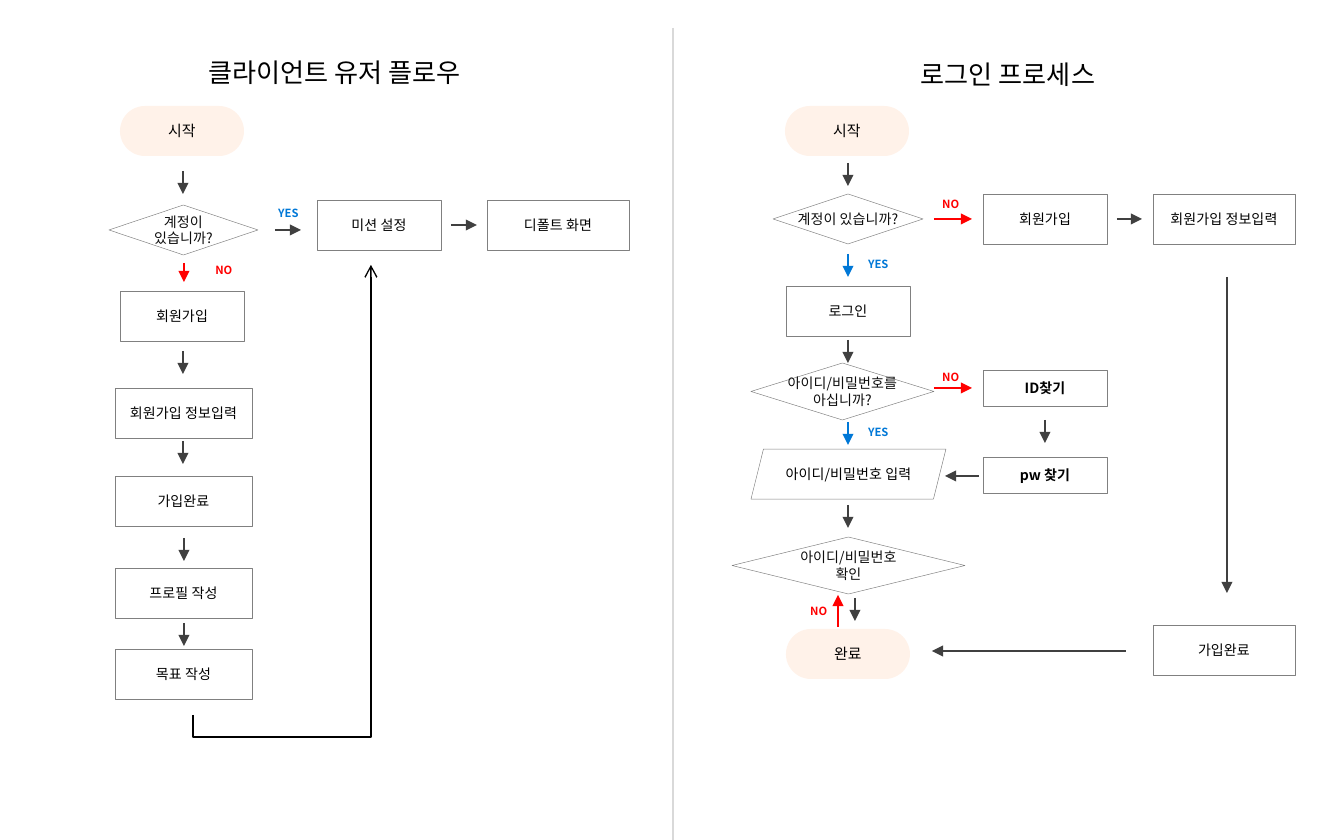
from dataclasses import dataclass
from pptx import Presentation
from pptx.dml.color import RGBColor as Rgb
from pptx.enum.shapes import MSO_CONNECTOR as Con, MSO_SHAPE as Geo
from pptx.enum.text import MSO_ANCHOR as Anchor, PP_ALIGN as Align
from pptx.oxml.ns import qn
from pptx.util import Emu, Pt
from lxml.etree import SubElement as Sub


@dataclass(frozen=True)
class Theme:
    font: str = "Noto Sans CJK KR"
    ink: str = "000000"
    soft: str = "0D0D0D"
    dark: str = "404040"
    edge: str = "808080"
    rule: str = "D9D9D9"
    peach: str = "FFF2E9"
    white: str = "FFFFFF"
    red: str = "FF0000"
    blue: str = "0078D7"
    title: float = 14
    cap: float = 8
    body: float = 7.5
    tag: float = 6
    thin: float = 0.26
    line: float = 0.75


T = Theme()


def px(n):
    return Emu(round(n * 914400 / 134.4))


def hue(code):
    return Rgb.from_string(code)


def write(frame, text, size, color, bold=False, align=Align.CENTER, wrap=False):
    frame.text = text
    frame.word_wrap = wrap
    for para in frame.paragraphs:
        para.alignment = align
        for run in para.runs:
            font = run.font
            font.name, font.size, font.bold = T.font, Pt(size), bold
            font.color.rgb = hue(color)
            Sub(font._element, qn("a:ea")).set("typeface", T.font)


def node(slide, geo, box, text, size=T.body, color=T.ink, fill=T.white,
         edge=True, pad=True, bold=False):
    shape = slide.shapes.add_shape(geo, *map(px, box))
    shape.shadow.inherit = False
    shape.fill.solid()
    shape.fill.fore_color.rgb = hue(fill)
    if edge:
        shape.line.color.rgb = hue(T.edge)
        shape.line.width = Pt(T.thin)
    else:
        shape.line.fill.background()
    frame = shape.text_frame
    frame.vertical_anchor = Anchor.MIDDLE
    if not pad:
        frame.margin_left = frame.margin_right = 0
        frame.margin_top = frame.margin_bottom = 0
    write(frame, text, size, color, bold)
    return shape


def step(slide, box, text, bold=False):
    node(slide, Geo.RECTANGLE, box, text, pad=False, bold=bold)


def ask(slide, box, text):
    node(slide, Geo.FLOWCHART_DECISION, box, text, color=T.soft)


def pill(slide, x, y, text):
    shape = node(slide, Geo.ROUNDED_RECTANGLE, (x, y, 124, 50), text,
                 size=T.cap, fill=T.peach, edge=False)
    shape.adjustments[0] = 0.5


def label(slide, box, text, size, color, **opts):
    shape = slide.shapes.add_textbox(*map(px, box))
    write(shape.text_frame, text, size, color, wrap=True, **opts)
    return shape


def title(slide, x, y, text):
    label(slide, (x, y, 672, 44), text, T.title, T.ink)


def tag(slide, x, y, yes):
    text, color, wide = ("YES", T.blue, 47) if yes else ("NO", T.red, 43)
    shape = label(slide, (x, y, wide, 27), text, T.tag, color,
                  bold=True, align=Align.LEFT)
    shape.text_frame.margin_right = 0


def link(slide, ends, color=T.dark, head="triangle", kind=Con.STRAIGHT):
    line = slide.shapes.add_connector(kind, *map(px, ends))
    line.line.color.rgb = hue(color)
    line.line.width = Pt(T.line)
    if head:
        Sub(line.line._get_or_add_ln(), qn("a:tailEnd")).set("type", head)
    Sub(line._element.spPr, qn("a:effectLst"))
    return line


def down(slide, x, y, color=T.dark):
    link(slide, (x, y, x, y + 23), color)


def bend(slide, x1, y1, x2, y2, drop):
    wide, high = y1 - y2, x2 - x1
    x, y = (x1 + x2) / 2, (y1 + y2) / 2
    ends = (x + wide / 2, y + high / 2, x - wide / 2, y - high / 2)
    line = link(slide, ends, T.ink, "arrow", Con.ELBOW)
    prop = line._element.spPr
    prop.find(qn("a:xfrm")).set("rot", str(90 * 60000))
    geom = prop.find(qn("a:prstGeom"))
    vals = geom.find(qn("a:avLst"))
    if vals is None:
        vals = Sub(geom, qn("a:avLst"))
    item = Sub(vals, qn("a:gd"))
    item.set("name", "adj1")
    item.set("fmla", f"val {round(-drop / wide * 100000)}")


def client(slide):
    title(slide, -1, 50, "클라이언트 유저 플로우")
    pill(slide, 120, 106, "시작")
    ask(slide, (109, 205, 149, 50), "계정이\n있습니까?")
    step(slide, (120, 291, 124, 50), "회원가입")
    for y, text in ((388, "회원가입 정보입력"), (476, "가입완료"),
                    (568, "프로필 작성"), (649, "목표 작성")):
        step(slide, (115, y, 137, 50), text)
    step(slide, (317, 200, 124, 50), "미션 설정")
    step(slide, (487, 200, 142, 50), "디폴트 화면")
    tag(slide, 202, 257, False)
    tag(slide, 265, 200, True)
    for x, y in ((183, 171), (183, 351), (183, 441), (184, 538), (184, 623)):
        down(slide, x, y)
    link(slide, (184, 263, 184, 282), T.red)
    link(slide, (275, 230, 301, 230))
    link(slide, (451, 225, 477, 225))
    bend(slide, 193, 715, 371, 265, 22)


def login(slide):
    title(slide, 672, 52, "로그인 프로세스")
    node(slide, Geo.PARALLELOGRAM, (751, 449, 195, 50),
         "아이디/비밀번호 입력", pad=False)
    pill(slide, 785, 106, "시작")
    pill(slide, 786, 629, "완료")
    for box, text in (((773, 194, 150, 50), "계정이 있습니까?"),
                      ((751, 363, 183, 57), "아이디/비밀번호를\n아십니까?"),
                      ((732, 537, 233, 57), "아이디/비밀번호\n확인")):
        ask(slide, box, text)
    step(slide, (786, 286, 124, 50), "로그인")
    step(slide, (983, 194, 124, 50), "회원가입")
    step(slide, (1153, 194, 142, 50), "회원가입 정보입력")
    step(slide, (1153, 625, 142, 50), "가입완료")
    for y, text in ((370, "ID찾기"), (457, "pw 찾기")):
        step(slide, (983, y, 124, 36), text, bold=True)
    for x, y, yes in ((929, 191, False), (855, 251, True), (929, 364, False),
                      (855, 419, True), (797, 598, False)):
        tag(slide, x, y, yes)
    for x, y in ((848, 163), (848, 340), (848, 505), (855, 598), (1045, 420)):
        down(slide, x, y)
    for y in (254, 422):
        down(slide, 848, y, T.blue)
    for y in (219, 388):
        link(slide, (934, y, 972, y), T.red)
    link(slide, (838, 627, 838, 595), T.red)
    for ends in ((1117, 219, 1142, 219), (1227, 277, 1227, 593),
                 (1126, 651, 932, 651), (979, 476, 945, 476)):
        link(slide, ends)


def main():
    deck = Presentation()
    deck.slide_width, deck.slide_height = px(1344), px(840)
    slide = deck.slides.add_slide(deck.slide_layouts[6])
    client(slide)
    link(slide, (673, 28, 673, 840), T.rule, None)
    login(slide)
    deck.save("out.pptx")


main()
